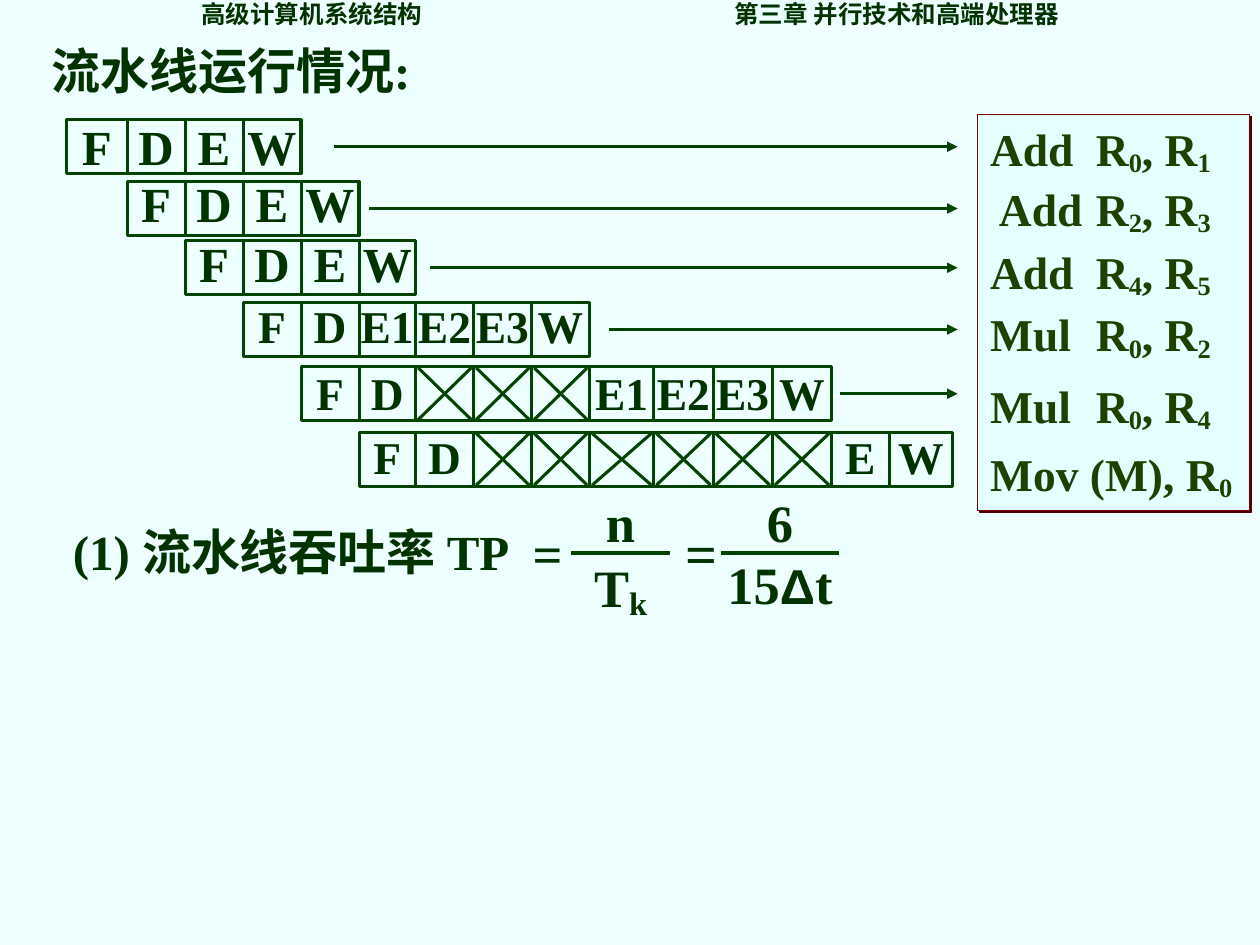
from dataclasses import dataclass
from lxml import etree
from pptx import Presentation
from pptx import util as u
from pptx.dml.color import RGBColor
from pptx.enum import shapes, text
from pptx.oxml import ns


@dataclass(frozen=True)
class Theme:
    background: str = "EDFFFF"
    ink: str = "003300"
    rule: str = "004400"
    panel_fill: str = "E5FFFF"
    panel_line: str = "800000"
    panel_shadow: str = "4C0000"
    panel_ink: str = "204000"
    latin: str = "Times New Roman"
    asian: str = "Noto Sans CJK SC"
    symbol: str = "Arial"
    header: int = 14
    code: int = 26
    heading: int = 28
    formula: int = 30
    large: int = 32


THEME = Theme()
CYCLE_EDGES = [0.53, 1.01, 1.47, 1.93, 2.39, 2.85, 3.3, 3.76,
               4.22, 4.68, 5.19, 5.66, 6.13, 6.6, 7.06, 7.56]
ROW_HEIGHT = 0.43
ARROW_END = 7.6
SHORT = ["F", "D", "E", "W"]
STALL = ""
PIPELINE = [
    (0.95, 0.91, THEME.heading, SHORT, 2.65),
    (1.44, 1.36, THEME.heading, SHORT, 2.93),
    (1.91, 1.84, THEME.heading, SHORT, 3.41),
    (2.4, 2.35, THEME.code, ["F", "D", "E1", "E2", "E3", "W"], 4.83),
    (2.91, 2.88, THEME.code, ["F", "D"] + [STALL] * 3 + ["E1", "E2", "E3", "W"], 6.67),
    (3.43, 3.39, THEME.code, ["F", "D"] + [STALL] * 6 + ["E", "W"], None),
]
INSTRUCTIONS = [
    ("Add\tR", "0", ", R", "1", 0),
    (" Add\tR", "2", ", R", "3", 1.6),
    ("Add\tR", "4", ", R", "5", 3.3),
    ("Mul\tR", "0", ", R", "2", 3.3),
    ("Mul\tR", "0", ", R", "4", 8.1),
    ("Mov (M), R", "0", "", "", 6.5),
]


def color(value):
    return RGBColor.from_string(value)


def apply(target, formats):
    for name, value in formats.items():
        setattr(target, name, value)


def child(parent, tag, **attributes):
    return etree.SubElement(parent, ns.qn(tag), attributes)


def add_run(paragraph, words, size, ink=THEME.ink, latin=THEME.latin, baseline=None):
    run = paragraph.add_run()
    run.text = words
    apply(run.font, {"size": u.Pt(size), "bold": True, "name": latin})
    run.font.color.rgb = color(ink)
    properties = run.font._element
    child(properties, "a:ea", typeface=THEME.asian)
    if baseline:
        properties.set("baseline", str(baseline))


def set_tabs(paragraph, stops, align):
    tabs = child(paragraph._p.get_or_add_pPr(), "a:tabLst")
    for stop in stops:
        child(tabs, "a:tab", pos=str(u.Inches(stop)), algn=align)


def prepare_frame(shape, alignment=text.PP_ALIGN.LEFT):
    frame = shape.text_frame
    apply(frame, {"word_wrap": True, "auto_size": text.MSO_AUTO_SIZE.NONE,
                  "vertical_anchor": text.MSO_ANCHOR.TOP})
    frame.paragraphs[0].alignment = alignment
    return frame


def add_label(slide, box, runs, alignment=text.PP_ALIGN.LEFT):
    shape = slide.shapes.add_textbox(*map(u.Inches, box))
    paragraph = prepare_frame(shape, alignment).paragraphs[0]
    for words, formats in runs:
        add_run(paragraph, words, **formats)
    return paragraph


def add_line(slide, start, end, width=1.76, arrow=False):
    line = slide.shapes.add_connector(shapes.MSO_CONNECTOR.STRAIGHT,
                                      *map(u.Inches, start + end))
    line.line.color.rgb = color(THEME.rule)
    line.line.width = u.Pt(width)
    if arrow:
        child(line.line._get_or_add_ln(), "a:tailEnd", type="triangle")
    child(line._element.spPr, "a:effectLst")


def add_rectangle(slide, box, line, width, fill=None):
    shape = slide.shapes.add_shape(shapes.MSO_SHAPE.RECTANGLE, *map(u.Inches, box))
    shape.shadow.inherit = False
    shape.line.color.rgb = color(line)
    shape.line.width = u.Pt(width)
    if fill:
        shape.fill.solid()
        shape.fill.fore_color.rgb = color(fill)
    else:
        shape.fill.background()
    return shape


def add_header(slide, left, top):
    paragraph = add_label(slide, (left, top, 7.01, 0.27),
                          [("高级计算机系统结构\t第三章 并行技术和高端处理器",
                            {"size": THEME.header, "latin": THEME.asian})])
    paragraph.line_spacing = 0.7
    set_tabs(paragraph, [4.23], "l")


def add_title(slide, left, top, width, height):
    title = slide.shapes.title
    apply(title, dict(zip(("left", "top", "width", "height"),
                          map(u.Inches, (left, top, width, height)))))
    add_run(prepare_frame(title).paragraphs[0], "流水线运行情况:", THEME.heading)


def add_pipeline_row(slide, edges, top, label_top, size, stages, arrow_start):
    left, right, bottom = edges[0], edges[-1], top + ROW_HEIGHT
    add_rectangle(slide, (left, top, right - left, ROW_HEIGHT), THEME.rule, 1.76)
    for edge in edges[1:-1]:
        add_line(slide, (edge, top), (edge, bottom))
    centers = []
    for stage, start, end in zip(stages, edges, edges[1:]):
        if stage == STALL:
            add_line(slide, (start + 0.02, top + 0.01), (end - 0.02, bottom - 0.01))
            add_line(slide, (end - 0.02, top + 0.01), (start + 0.02, bottom - 0.01))
        else:
            centers.append((start + end) / 2 - left)
    words = "".join("\t" + stage for stage in stages if stage != STALL)
    paragraph = add_label(slide, (left - 0.1, label_top, right - left + 0.3, 0.55),
                          [(words, {"size": size})])
    paragraph.line_spacing = 0.95
    set_tabs(paragraph, centers, "ctr")
    if arrow_start:
        middle = top + ROW_HEIGHT / 2
        add_line(slide, (arrow_start, middle), (ARROW_END, middle), 1.5, True)


def add_instructions(slide, left, top, width, height):
    panel = add_rectangle(slide, (left, top, width, height),
                          THEME.panel_line, 0.74, THEME.panel_fill)
    effects = panel._element.spPr.find(ns.qn("a:effectLst"))
    shadow = child(effects, "a:outerShdw", dist=str(u.Pt(1.4)), dir="2700000", algn="ctr")
    child(shadow, "a:srgbClr", val=THEME.panel_shadow)
    frame = prepare_frame(panel)
    for index, (*parts, space) in enumerate(INSTRUCTIONS):
        paragraph = frame.add_paragraph() if index else frame.paragraphs[0]
        apply(paragraph, {"alignment": text.PP_ALIGN.LEFT, "space_before": u.Pt(space)})
        set_tabs(paragraph, [0.84], "l")
        for position, words in enumerate(filter(None, parts)):
            add_run(paragraph, words, THEME.code, THEME.panel_ink,
                    baseline=-14000 if position % 2 else None)


def add_fraction(slide, left, top, width, numerator, denominator):
    add_line(slide, (left, top), (left + width, top), 2.24)
    for offset, runs in ((-0.55, numerator), (-0.06, denominator)):
        add_label(slide, (left - 0.1, top + offset, width + 0.2, 0.62),
                  runs, text.PP_ALIGN.CENTER)


def add_throughput(slide, left, top):
    formula = {"size": THEME.formula}
    add_label(slide, (left, top, 3.88, 0.57),
              [("(1) 流水线吞吐率 TP", {"size": THEME.heading})])
    add_label(slide, (left + 3.65, top, 0.6, 0.6), [("=", formula)])
    add_fraction(slide, left + 4.05, top + 0.3, 0.79, [("n", formula)],
                 [("T", formula), ("k", {"size": THEME.large, "baseline": -14000})])
    add_label(slide, (left + 4.86, top - 0.02, 0.53, 0.64), [("=", {"size": THEME.large})])
    add_fraction(slide, left + 5.24, top + 0.3, 0.94, [("6", formula)],
                 [("15", formula),
                  ("Δ", {"size": THEME.heading, "latin": THEME.symbol}),
                  ("t", formula)])


def build():
    presentation = Presentation()
    apply(presentation, {"slide_width": u.Inches(10), "slide_height": u.Inches(7.5)})
    slide = presentation.slides.add_slide(presentation.slide_layouts[5])
    slide.background.fill.solid()
    slide.background.fill.fore_color.rgb = color(THEME.background)
    add_header(slide, 1.5, 0.01)
    add_title(slide, 0.31, 0.27, 3.24, 0.57)
    for index, (top, label_top, size, stages, arrow_start) in enumerate(PIPELINE):
        edges = CYCLE_EDGES[index:index + len(stages) + 1]
        add_pipeline_row(slide, edges, top, label_top, size, stages, arrow_start)
    add_throughput(slide, 0.48, 4.09)
    add_instructions(slide, 7.76, 0.91, 2.16, 3.14)
    presentation.save("out.pptx")


build()
